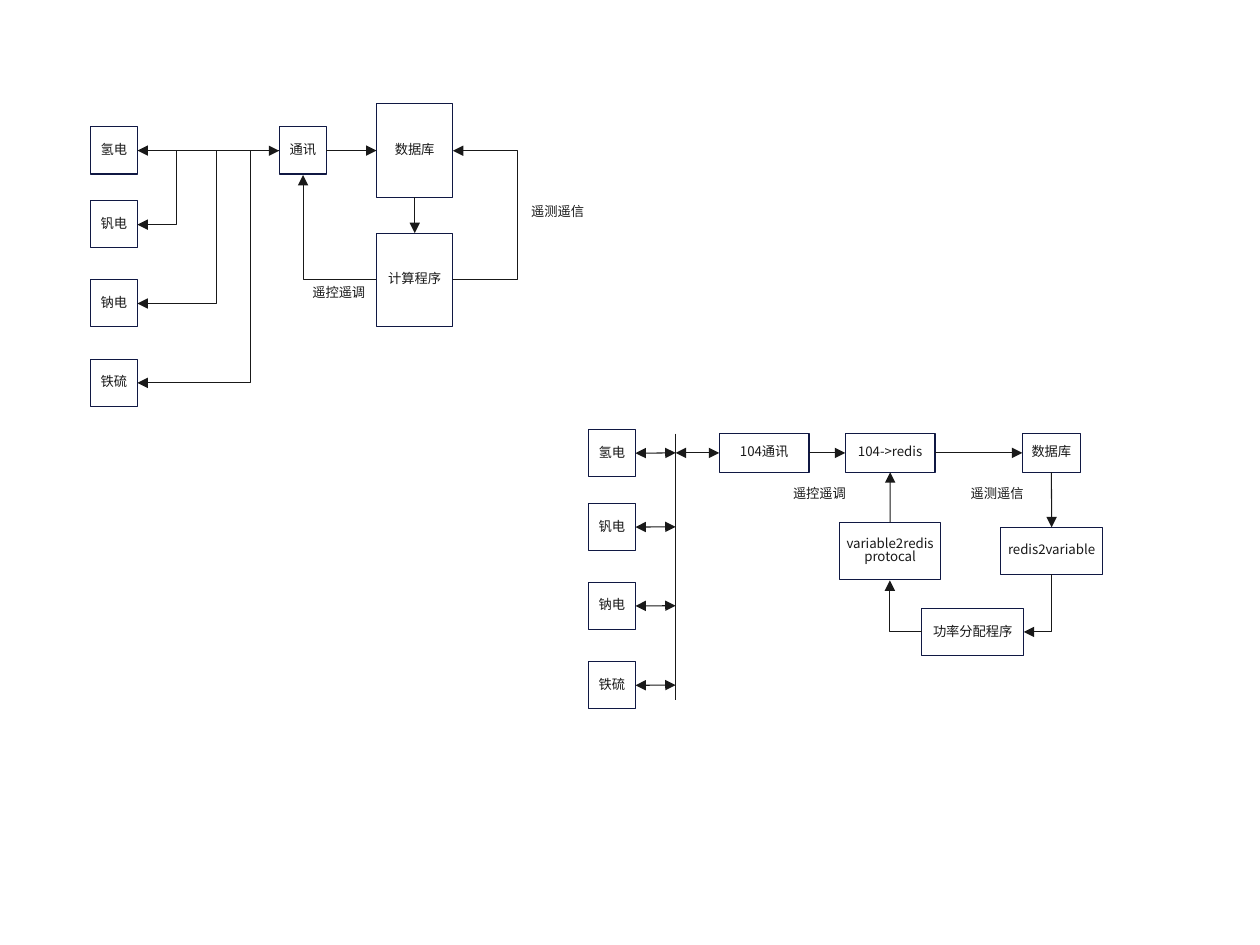
"""Draws two block diagrams of a battery control data flow on one slide."""
from dataclasses import dataclass

from lxml import etree
from pptx import Presentation
from pptx.dml.color import RGBColor
from pptx.enum.shapes import MSO_CONNECTOR, MSO_SHAPE
from pptx.enum.text import MSO_ANCHOR, PP_ALIGN
from pptx.oxml.ns import qn
from pptx.util import Cm, Pt

RECTANGLE = MSO_SHAPE.RECTANGLE
STRAIGHT = MSO_CONNECTOR.STRAIGHT
MIDDLE, TOP_ANCHOR = MSO_ANCHOR.MIDDLE, MSO_ANCHOR.TOP
CENTER = PP_ALIGN.CENTER
TOP, LEFT, BOTTOM, RIGHT = range(4)

BATTERIES = ("氢电", "钒电", "钠电", "铁硫")
ROW_OFFSETS = (0, 1.49, 3.08, 4.68)
UNIT = 0.95
UPLINK, DOWNLINK = "遥测遥信", "遥控遥调"


@dataclass(frozen=True)
class Theme:
    """Colours, type and line sizes of the diagrams."""
    paper: RGBColor = RGBColor(0xFF, 0xFF, 0xFF)
    border: RGBColor = RGBColor(0x10, 0x18, 0x43)
    ink: RGBColor = RGBColor(0x19, 0x19, 0x19)
    font: str = "Noto Sans CJK SC"
    text_size: float = 7.6
    line_width: float = 0.6
    line_spacing: float = 0.83
    inset: float = 0.1


def write_text(shape, text, *, theme, anchor=MIDDLE):
    """Put one centred paragraph into a shape."""
    frame = shape.text_frame
    frame.word_wrap = True
    frame.vertical_anchor = anchor
    frame.margin_left = frame.margin_right = Cm(theme.inset)
    frame.margin_top = frame.margin_bottom = Cm(theme.inset)
    paragraph = frame.paragraphs[0]
    paragraph.alignment = CENTER
    paragraph.line_spacing = theme.line_spacing
    run = paragraph.add_run()
    run.text = text
    run.font.size = Pt(theme.text_size)
    run.font.name = theme.font
    run.font.color.rgb = theme.ink
    east_asian = etree.SubElement(run.font._element, qn("a:ea"))
    east_asian.set("typeface", theme.font)


class Diagram:
    """Holds the theme and the current slide and draws each kind of element."""

    def __init__(self, slide, theme):
        """Remember the slide and its theme."""
        self.shapes = slide.shapes
        self.theme = theme

    def box(self, text, left, top, width, height):
        """Draw a bordered block with centred text."""
        shape = self.shapes.add_shape(RECTANGLE, Cm(left), Cm(top), Cm(width), Cm(height))
        shape.shadow.inherit = False
        shape.fill.solid()
        shape.fill.fore_color.rgb = self.theme.paper
        shape.line.color.rgb = self.theme.border
        shape.line.width = Pt(self.theme.line_width)
        write_text(shape, text, theme=self.theme)
        return shape

    def label(self, text, left, top, width, height=0.56):
        """Write a caption beside a route."""
        shape = self.shapes.add_textbox(Cm(left), Cm(top), Cm(width), Cm(height))
        write_text(shape, text, theme=self.theme, anchor=TOP_ANCHOR)

    def style_line(self, shape, head, tail):
        """Colour a line and add its arrowheads."""
        shape.line.color.rgb = self.theme.ink
        shape.line.width = Pt(self.theme.line_width)
        properties = shape._element.spPr
        line = properties.find(qn("a:ln"))
        for tag, wanted in (("a:headEnd", head), ("a:tailEnd", tail)):
            if wanted:
                etree.SubElement(line, qn(tag)).set("type", "triangle")
        if properties.find(qn("a:effectLst")) is None:
            etree.SubElement(properties, qn("a:effectLst"))

    def connect(self, start=(0, 0), end=(0, 0), *, source=None, target=None,
                head=False, tail=True):
        """Draw a straight line between points or (box, side) pairs."""
        connector = self.shapes.add_connector(STRAIGHT, *map(Cm, start), *map(Cm, end))
        if source:
            connector.begin_connect(*source)
        if target:
            connector.end_connect(*target)
        self.style_line(connector, head, tail)

    def route(self, *points, head=False):
        """Draw a bent arrow through the points."""
        start, *rest = [(Cm(x), Cm(y)) for x, y in points]
        builder = self.shapes.build_freeform(*start)
        builder.add_line_segments(rest, close=False)
        shape = builder.convert_to_shape()
        shape.fill.background()
        self.style_line(shape, head, True)

    def batteries(self, left, top):
        """Draw the column of battery blocks."""
        return [self.box(name, left, top + offset, UNIT, UNIT)
                for name, offset in zip(BATTERIES, ROW_OFFSETS)]


def draw_overview(diagram):
    """Draw the upper diagram with direct communication."""
    axis, calculation_axis = 3.04, 5.64
    communication_left, battery_right = 5.63, 2.77
    hydrogen = diagram.batteries(1.82, 2.56)[0]
    communication = diagram.box("通讯", communication_left, 2.56, UNIT, UNIT)
    database = diagram.box("数据库", 7.59, 2.09, 1.54, 1.89)
    calculation = diagram.box("计算程序", 7.59, 4.7, 1.54, 1.89)
    diagram.connect(source=(communication, RIGHT), target=(database, LEFT))
    diagram.connect(source=(database, BOTTOM), target=(calculation, TOP))
    diagram.connect(source=(communication, LEFT), target=(hydrogen, RIGHT))
    for bend, offset in zip((3.56, 4.36, 5.05), ROW_OFFSETS[1:]):
        diagram.route((communication_left, axis), (bend, axis), (bend, axis + offset),
                      (battery_right, axis + offset), head=offset == ROW_OFFSETS[-1])
    diagram.route((9.13, calculation_axis), (10.43, calculation_axis),
                  (10.43, axis), (9.13, axis))
    diagram.route((7.59, calculation_axis), (6.11, calculation_axis), (6.11, 3.53))
    diagram.label(UPLINK, 10.24, 4.06, 2)
    diagram.label(DOWNLINK, 5.56, 5.69, 2.54)


def draw_detail(diagram):
    """Draw the lower diagram with the bus and the redis loop."""
    axis, bus = 9.13, 13.62
    batteries = diagram.batteries(11.86, 8.66)
    gateway = diagram.box("104通讯", 14.5, 8.74, 1.81, 0.78)
    to_redis = diagram.box("104->redis", 17.04, 8.74, 1.81, 0.78)
    database = diagram.box("数据库", 20.61, 8.74, 1.17, 0.78)
    reader = diagram.box("redis2variable", 20.17, 10.63, 2.06, UNIT)
    diagram.box("功率分配程序", 18.58, 12.27, 2.06, UNIT)
    writer = diagram.box("variable2redis protocal", 16.92, 10.53, 2.05, 1.15)
    diagram.connect((bus, 8.74), (bus, 14.11), tail=False)
    diagram.connect(end=(bus, axis), source=(gateway, LEFT), head=True)
    for battery, offset in zip(batteries, ROW_OFFSETS):
        diagram.connect(end=(bus, axis + offset), source=(battery, RIGHT), head=True)
    diagram.connect(source=(gateway, RIGHT), target=(to_redis, LEFT))
    diagram.connect(source=(to_redis, RIGHT), target=(database, LEFT))
    diagram.connect(source=(database, BOTTOM), target=(reader, TOP))
    diagram.connect(source=(writer, TOP), target=(to_redis, BOTTOM))
    diagram.route((21.2, 11.58), (21.2, 12.74), (20.64, 12.74))
    diagram.route((18.58, 12.74), (17.94, 12.74), (17.94, 11.7))
    diagram.label(UPLINK, 19.2, 9.73, 1.8)
    diagram.label(DOWNLINK, 15.62, 9.73, 1.8)


def main():
    """Build the slide and save it."""
    presentation = Presentation()
    presentation.slide_width, presentation.slide_height = Cm(25.4), Cm(19.05)
    slide = presentation.slides.add_slide(presentation.slide_layouts[6])
    diagram = Diagram(slide, Theme())
    draw_overview(diagram)
    draw_detail(diagram)
    presentation.save("out.pptx")


if __name__ == "__main__":
    main()
